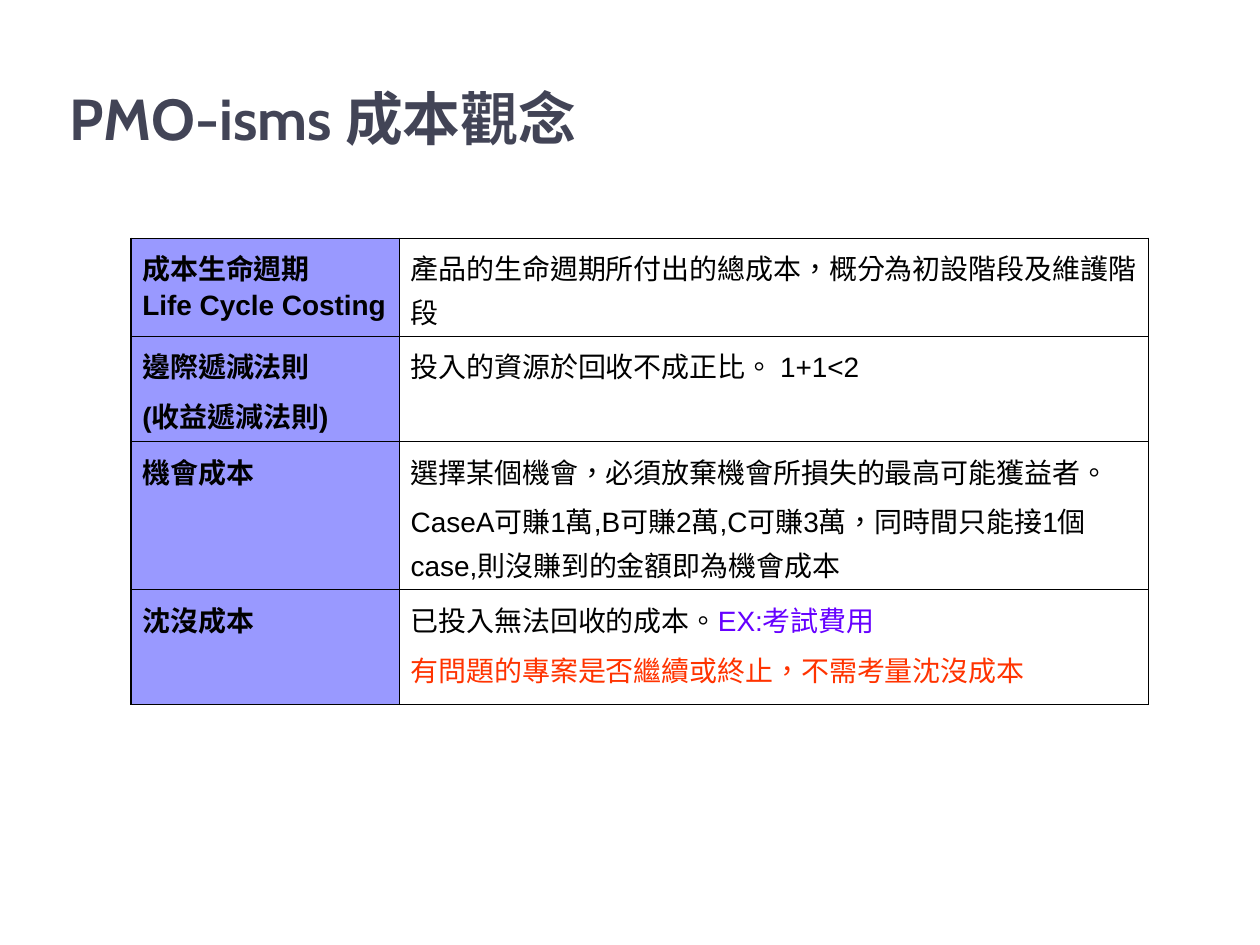
"""Builds a slide with a table of four cost concepts."""
import pptx
import pptx.dml.color
import pptx.enum.lang
import pptx.enum.text
import pptx.oxml
import pptx.oxml.ns
import pptx.util

COLORS = {"title": "424456", "text": "000000", "label": "9999FF",
          "example": "6600FF", "warning": "FF3300"}
COLUMN_WIDTHS = (5.41, 15.11)
ROW_HEIGHTS = (1.98, 2.12, 2.99, 2.31)
CONCEPTS = [
    (["成本生命週期", "Life Cycle Costing"],
     ["產品的生命週期所付出的總成本，概分為初設階段及維護階段"]),
    (["邊際遞減法則", "(收益遞減法則)"],
     ["投入的資源於回收不成正比。 1+1<2"]),
    (["機會成本"],
     ["選擇某個機會，必須放棄機會所損失的最高可能獲益者。",
      "CaseA可賺1萬,B可賺2萬,C可賺3萬，同時間只能接1個case,則沒賺到的金額即為機會成本"]),
    (["沈沒成本"],
     [[("已投入無法回收的成本。", "text"), ("EX:考試費用", "example")],
      [("有問題的專案是否繼續或終止，不需考量沈沒成本", "warning")]]),
]


def cm(value):
    """Return a length in centimetres."""
    return pptx.util.Cm(value)


def rgb(name):
    """Return the named colour."""
    return pptx.dml.color.RGBColor.from_string(COLORS[name])


def set_font(font, face, size, bold):
    """Set the face, size and weight of a font."""
    font.name, font.size, font.bold = face, pptx.util.Pt(size), bold


def add_title(slide, text):
    """Add the slide title."""
    sp = slide.shapes.add_textbox(cm(1.16), cm(1.35), cm(20.73), cm(2.03))
    tf = sp.text_frame
    tf.word_wrap = True
    tf.vertical_anchor = pptx.enum.text.MSO_ANCHOR.MIDDLE
    p = tf.paragraphs[0]
    p.text = text
    set_font(p.font, "Cabin", 33, True)
    p.font.color.rgb = rgb("title")


def set_borders(cell):
    """Draw a thin black line on each side of a cell."""
    tc_pr = cell._tc.get_or_add_tcPr()
    for i, side in enumerate(("lnL", "lnR", "lnT", "lnB")):
        tc_pr.insert(i, pptx.oxml.parse_xml(
            f'<a:{side} {pptx.oxml.ns.nsdecls("a")} w="{pptx.util.Pt(0.75)}"><a:solidFill>'
            f'<a:srgbClr val="{COLORS["text"]}"/></a:solidFill></a:{side}>'))


def fill_cell(cell, paragraphs, is_label):
    """Write paragraphs, plain or as coloured runs, and style the cell."""
    cell.margin_left = cell.margin_right = cm(0.23)
    cell.margin_top = cell.margin_bottom = cm(0.12)
    if is_label:
        cell.fill.solid()
        cell.fill.fore_color.rgb = rgb("label")
    else:
        cell.fill.background()
    set_borders(cell)
    tf = cell.text_frame
    for i, runs in enumerate(paragraphs):
        p = tf.add_paragraph() if i else tf.paragraphs[0]
        p.line_spacing = 1.08
        if isinstance(runs, str):
            if i and not runs.isascii():
                p.space_before = pptx.util.Pt(3.6)
            runs = [(runs, "text")]
        elif i:
            p.space_before = pptx.util.Pt(3.6)
        set_font(p.font, "Arial", 16, is_label)
        for text, color in runs:
            r = p.add_run()
            r.text = text
            r.font.language_id = pptx.enum.lang.MSO_LANGUAGE_ID.TRADITIONAL_CHINESE
            r.font.color.rgb = rgb(color)


def add_concept_table(slide):
    """Add the table of concepts and their explanations."""
    frame = slide.shapes.add_table(
        len(CONCEPTS), len(COLUMN_WIDTHS), cm(2.64), cm(4.8),
        cm(sum(COLUMN_WIDTHS)), cm(sum(ROW_HEIGHTS)))
    table = frame.table
    table.first_row = table.horz_banding = False
    for column, width in zip(table.columns, COLUMN_WIDTHS):
        column.width = cm(width)
    for i, (height, concept) in enumerate(zip(ROW_HEIGHTS, CONCEPTS)):
        table.rows[i].height = cm(height)
        for j, paragraphs in enumerate(concept):
            fill_cell(table.cell(i, j), paragraphs, j == 0)


def main():
    """Build and save the slide."""
    prs = pptx.Presentation()
    prs.slide_width, prs.slide_height = cm(25.4), cm(19.05)
    slide = prs.slides.add_slide(prs.slide_layouts[6])
    add_title(slide, "PMO-isms 成本觀念")
    add_concept_table(slide)
    prs.save("out.pptx")


if __name__ == "__main__":
    main()
